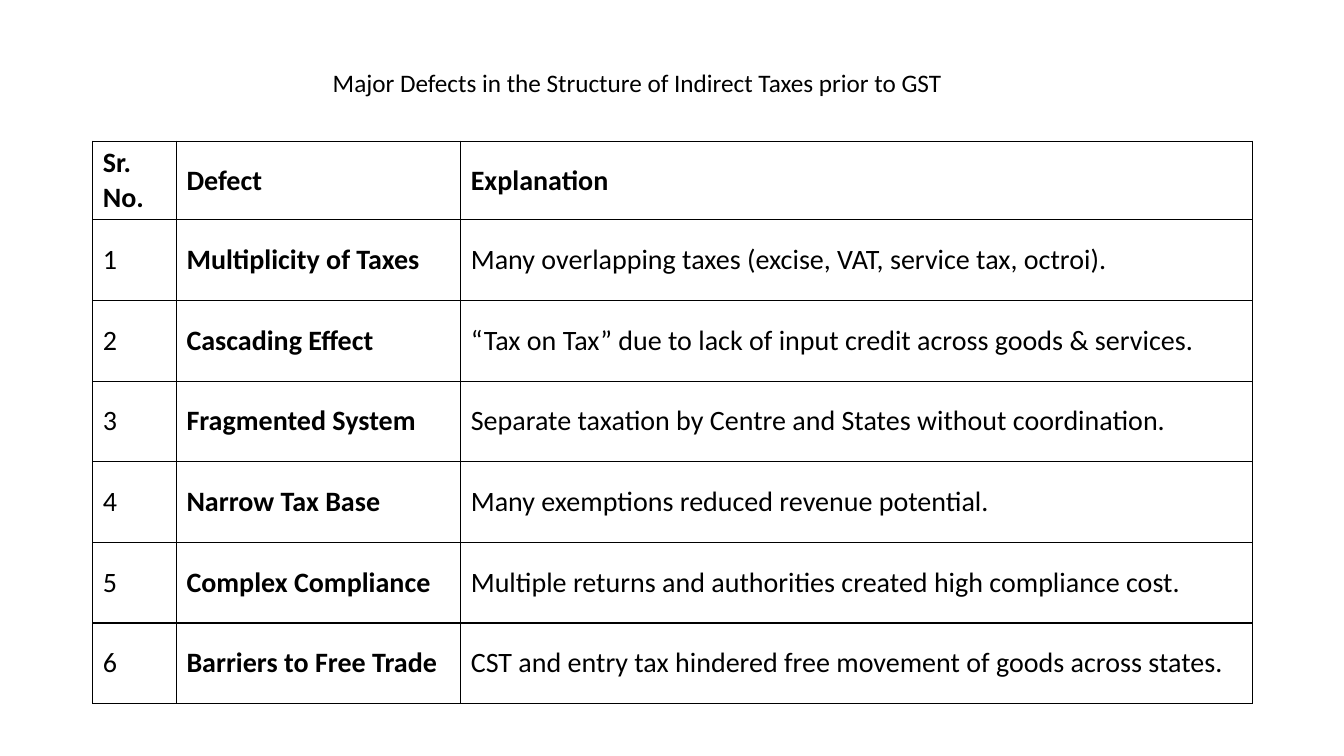
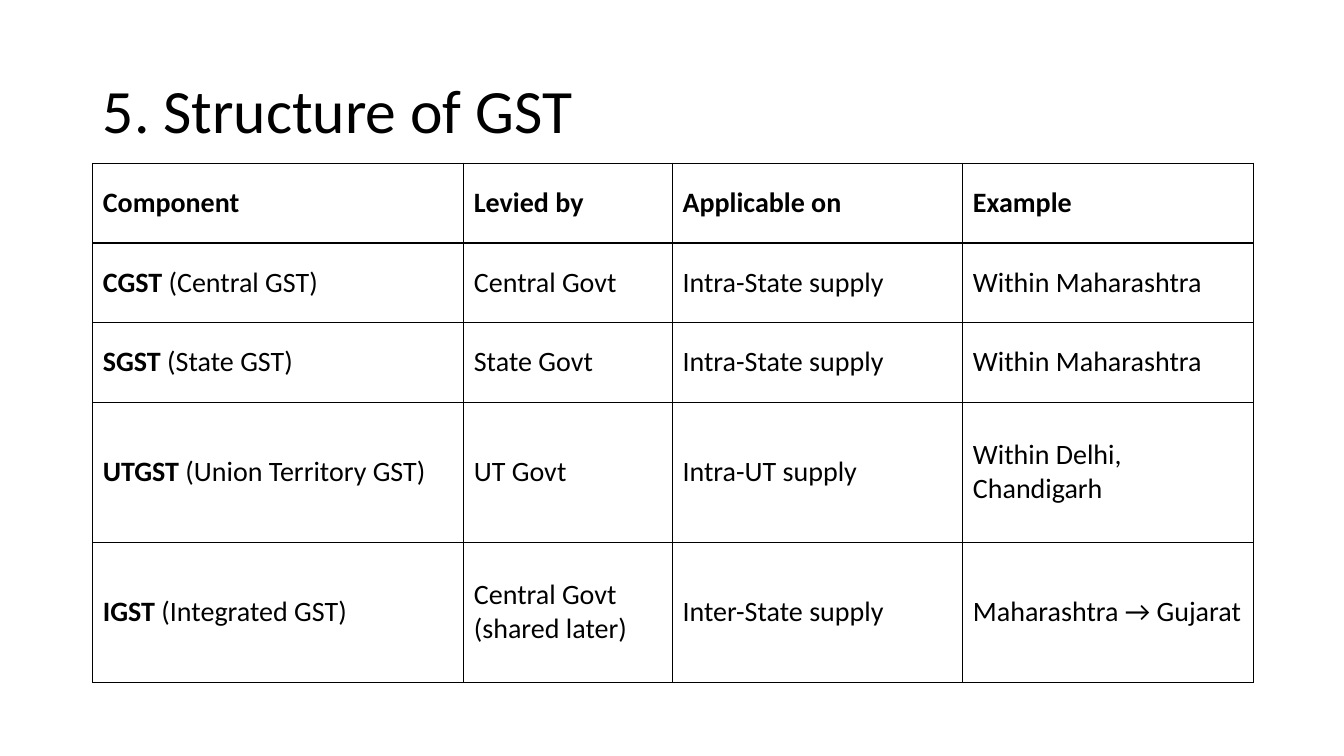
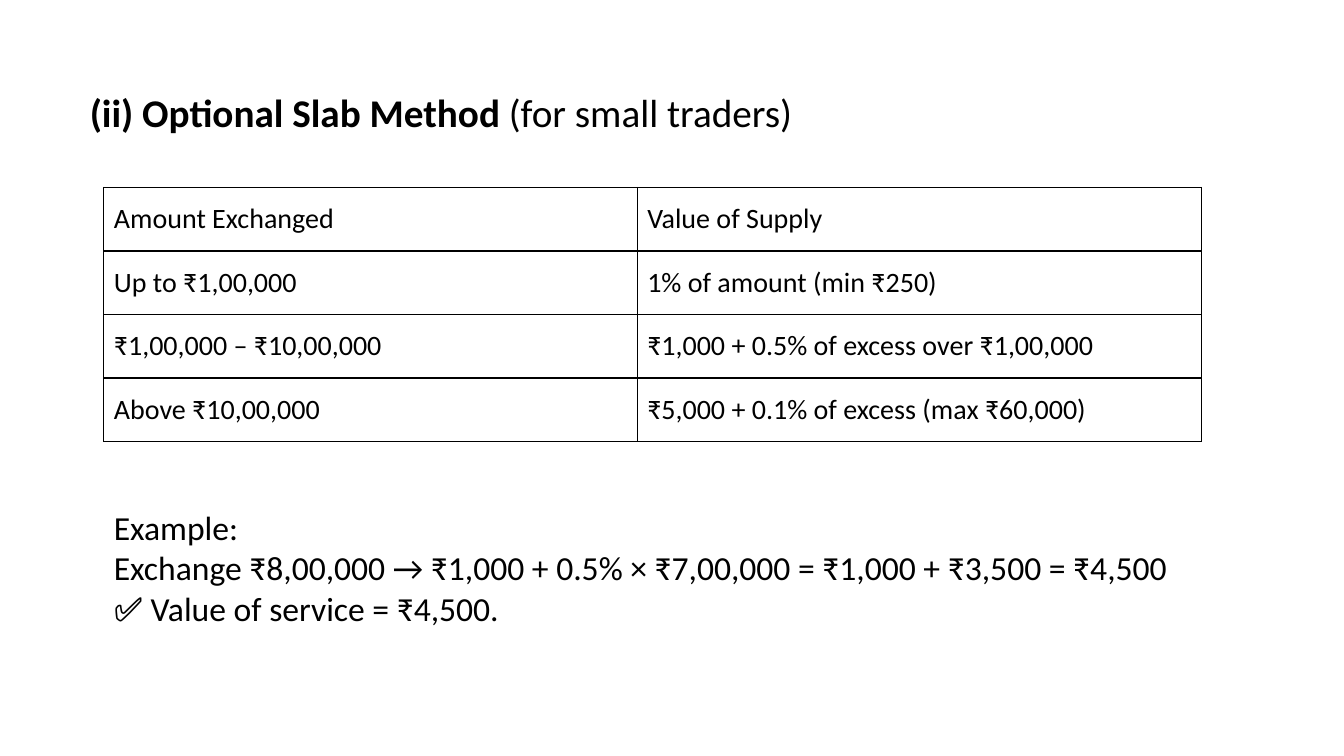
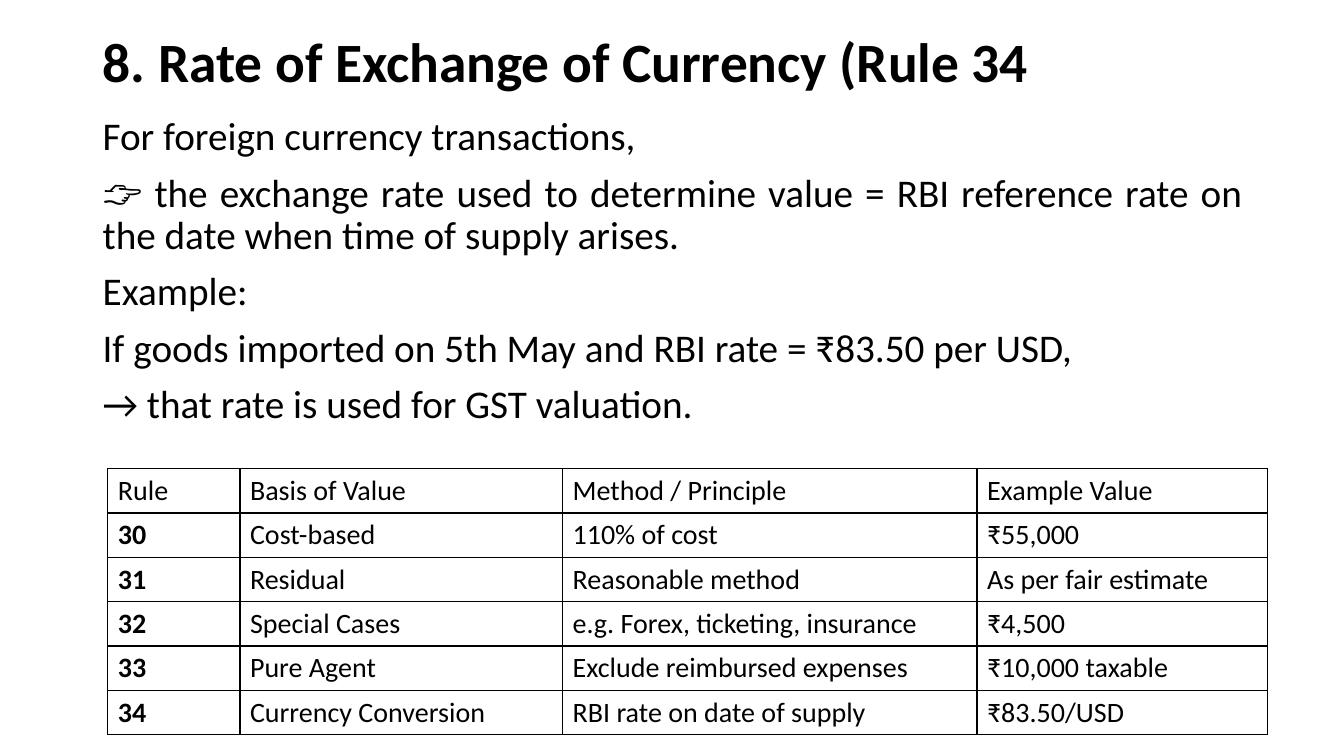
"""Build four slides on the structure and valuation rules of GST."""
from collections.abc import Sequence
from dataclasses import dataclass

from lxml.etree import SubElement
from pptx import Presentation
from pptx.dml.color import RGBColor
from pptx.enum.text import MSO_ANCHOR as Anchor, MSO_AUTO_SIZE as AutoSize, PP_ALIGN as Align
from pptx.oxml.ns import qn
from pptx.presentation import Presentation as Deck
from pptx.slide import Slide
from pptx.table import _Cell as Cell
from pptx.text.text import TextFrame
from pptx.util import Inches, Pt


@dataclass(frozen=True)
class Theme:
    font: str = "Calibri"
    ink: str = "000000"
    border: float = 1
    caption: float = 18
    table: float = 20
    note: float = 24
    body: float = 28
    rule_title: float = 39.6
    title: float = 44
    tight: float = 0.9
    gap: float = 10


@dataclass(frozen=True)
class Box:
    left: float
    top: float
    width: float
    height: float

    def lengths(self) -> tuple[Inches, Inches, Inches, Inches]:
        return Inches(self.left), Inches(self.top), Inches(self.width), Inches(self.height)


@dataclass(frozen=True)
class Grid:
    left: float
    top: float
    columns: Sequence[float]
    rows: Sequence[float]
    cells: Sequence[Sequence[str]]


THEME = Theme()

DEFECTS = Grid(0.92, 1.4, (0.83, 2.82, 7.85), (0.77, *[0.8] * 6), (
    ("**Sr. No.**", "**Defect**", "**Explanation**"),
    ("1", "**Multiplicity of Taxes**", "Many overlapping taxes (excise, VAT, service tax, octroi)."),
    ("2", "**Cascading Effect**", "“Tax on Tax” due to lack of input credit across goods & services."),
    ("3", "**Fragmented System**", "Separate taxation by Centre and States without coordination."),
    ("4", "**Narrow Tax Base**", "Many exemptions reduced revenue potential."),
    ("5", "**Complex Compliance**", "Multiple returns and authorities created high compliance cost."),
    ("6", "**Barriers to Free Trade**", "CST and entry tax hindered free movement of goods across states."),
))

COMPONENTS = Grid(0.92, 1.62, (3.68, 2.07, 2.88, 2.88), (*[0.79] * 3, *[1.39] * 2), (
    ("**Component**", "**Levied by**", "**Applicable on**", "**Example**"),
    ("**CGST** (Central GST)", "Central Govt", "Intra-State supply", "Within Maharashtra"),
    ("**SGST** (State GST)", "State Govt", "Intra-State supply", "Within Maharashtra"),
    ("**UTGST** (Union Territory GST)", "UT Govt", "Intra-UT supply", "Within Delhi, Chandigarh"),
    ("**IGST** (Integrated GST)", "Central Govt (shared later)", "Inter-State supply", "Maharashtra → Gujarat"),
))

SLABS = Grid(1.03, 1.86, (5.29, 5.6), [0.63] * 4, (
    ("Amount Exchanged", "Value of Supply"),
    ("Up to ₹1,00,000", "1% of amount (min ₹250)"),
    ("₹1,00,000 – ₹10,00,000", "₹1,000 + 0.5% of excess over ₹1,00,000"),
    ("Above ₹10,00,000", "₹5,000 + 0.1% of excess (max ₹60,000)"),
))

RULES = Grid(1.07, 4.65, (1.31, 3.2, 4.11, 2.88), [0.44] * 6, (
    ("Rule", "Basis of Value", "Method / Principle", "Example Value"),
    ("**30**", "Cost-based", "110% of cost", "₹55,000"),
    ("**31**", "Residual", "Reasonable method", "As per fair estimate"),
    ("**32**", "Special Cases", "e.g. Forex, ticketing, insurance", "₹4,500"),
    ("**33**", "Pure Agent", "Exclude reimbursed expenses", "₹10,000 taxable"),
    ("**34**", "Currency Conversion", "RBI rate on date of supply", "₹83.50/USD"),
))

SLAB_EXAMPLE = (
    "Example:",
    "Exchange ₹8,00,000 → ₹1,000 + 0.5% × ₹7,00,000 = ₹1,000 + ₹3,500 = ₹4,500",
    "✅ Value of service = ₹4,500.",
)

EXCHANGE_RATE = (
    "For foreign currency transactions,",
    "👉 the exchange rate used to determine value = RBI reference rate on the date when time of supply arises.",
    "Example:",
    "If goods imported on 5th May and RBI rate = ₹83.50 per USD,",
    "→ that rate is used for GST valuation.",
)


def write_text(frame: TextFrame, *lines: str, size: float, align: Align = Align.LEFT,
               spacing: float = 1.0, gap: float = 0) -> None:
    """Write one paragraph per line, with bold between double asterisks."""
    frame.word_wrap = True
    for index, line in enumerate(lines):
        paragraph = frame.add_paragraph() if index else frame.paragraphs[0]
        paragraph.alignment = align
        paragraph.line_spacing = spacing
        paragraph.space_before = Pt(gap if index else 0)
        for part, words in enumerate(line.split("**")):
            if not words:
                continue
            run = paragraph.add_run()
            run.text = words
            run.font.name = THEME.font
            run.font.size = Pt(size)
            run.font.bold = part % 2 == 1
            run.font.color.rgb = RGBColor.from_string(THEME.ink)


def add_titled_slide(presentation: Deck, title: str, box: Box, size: float,
                     anchor: Anchor = Anchor.MIDDLE, spacing: float = THEME.tight) -> Slide:
    """Add a title-only slide and format its title."""
    slide = presentation.slides.add_slide(presentation.slide_layouts.get_by_name("Title Only"))
    shape = slide.shapes.title
    shape.left, shape.top, shape.width, shape.height = box.lengths()
    shape.text_frame.auto_size = AutoSize.NONE
    shape.text_frame.vertical_anchor = anchor
    write_text(shape.text_frame, title, size=size, spacing=spacing)
    return slide


def add_text(slide: Slide, box: Box, *lines: str, size: float, align: Align = Align.LEFT,
             spacing: float = 1.0, gap: float = 0) -> None:
    """Add a text box."""
    frame = slide.shapes.add_textbox(*box.lengths()).text_frame
    write_text(frame, *lines, size=size, align=align, spacing=spacing, gap=gap)


def outline_cell(cell: Cell) -> None:
    """Draw a border on all four sides of a cell."""
    properties = cell._tc.get_or_add_tcPr()
    for side in ("a:lnL", "a:lnR", "a:lnT", "a:lnB"):
        line = SubElement(properties, qn(side), w=str(Pt(THEME.border)))
        fill = SubElement(line, qn("a:solidFill"))
        SubElement(fill, qn("a:srgbClr"), val=THEME.ink)


def add_grid(slide: Slide, grid: Grid) -> None:
    """Add a plain bordered table."""
    box = Box(grid.left, grid.top, sum(grid.columns), sum(grid.rows))
    table = slide.shapes.add_table(len(grid.rows), len(grid.columns), *box.lengths()).table
    table.first_row = table.horz_banding = False
    for column, width in zip(table.columns, grid.columns):
        column.width = Inches(width)
    for row, height, texts in zip(table.rows, grid.rows, grid.cells):
        row.height = Inches(height)
        for cell, text in zip(row.cells, texts):
            outline_cell(cell)
            cell.fill.background()
            cell.vertical_anchor = Anchor.MIDDLE
            write_text(cell.text_frame, text, size=THEME.table)


def main() -> None:
    """Build and save the presentation."""
    presentation = Presentation()
    presentation.slide_width, presentation.slide_height = Inches(13.33), Inches(7.5)

    defects = add_titled_slide(
        presentation, "Major Defects in the Structure of Indirect Taxes prior to GST",
        Box(3.2, 0.62, 6.66, 0.4), THEME.caption, Anchor.TOP, spacing=1.0)
    add_grid(defects, DEFECTS)

    structure = add_titled_slide(
        presentation, "5. Structure of GST", Box(0.92, 0.4, 11.5, 1.45), THEME.title)
    add_grid(structure, COMPONENTS)

    slabs = add_titled_slide(
        presentation, "**(ii) Optional Slab Method** (for small traders)",
        Box(0.79, 0.88, 11.5, 0.6), THEME.body, Anchor.TOP)
    add_grid(slabs, SLABS)
    add_text(slabs, Box(1.03, 4.98, 10.89, 1.31), *SLAB_EXAMPLE, size=THEME.note)

    exchange = add_titled_slide(
        presentation, "**8. Rate of Exchange of Currency (Rule 34**",
        Box(0.92, 0.4, 11.5, 0.49), THEME.rule_title)
    add_text(exchange, Box(0.92, 1.11, 11.5, 3.4), *EXCHANGE_RATE, size=THEME.body,
             align=Align.JUSTIFY, spacing=THEME.tight, gap=THEME.gap)
    add_grid(exchange, RULES)

    presentation.save("out.pptx")


if __name__ == "__main__":
    main()
